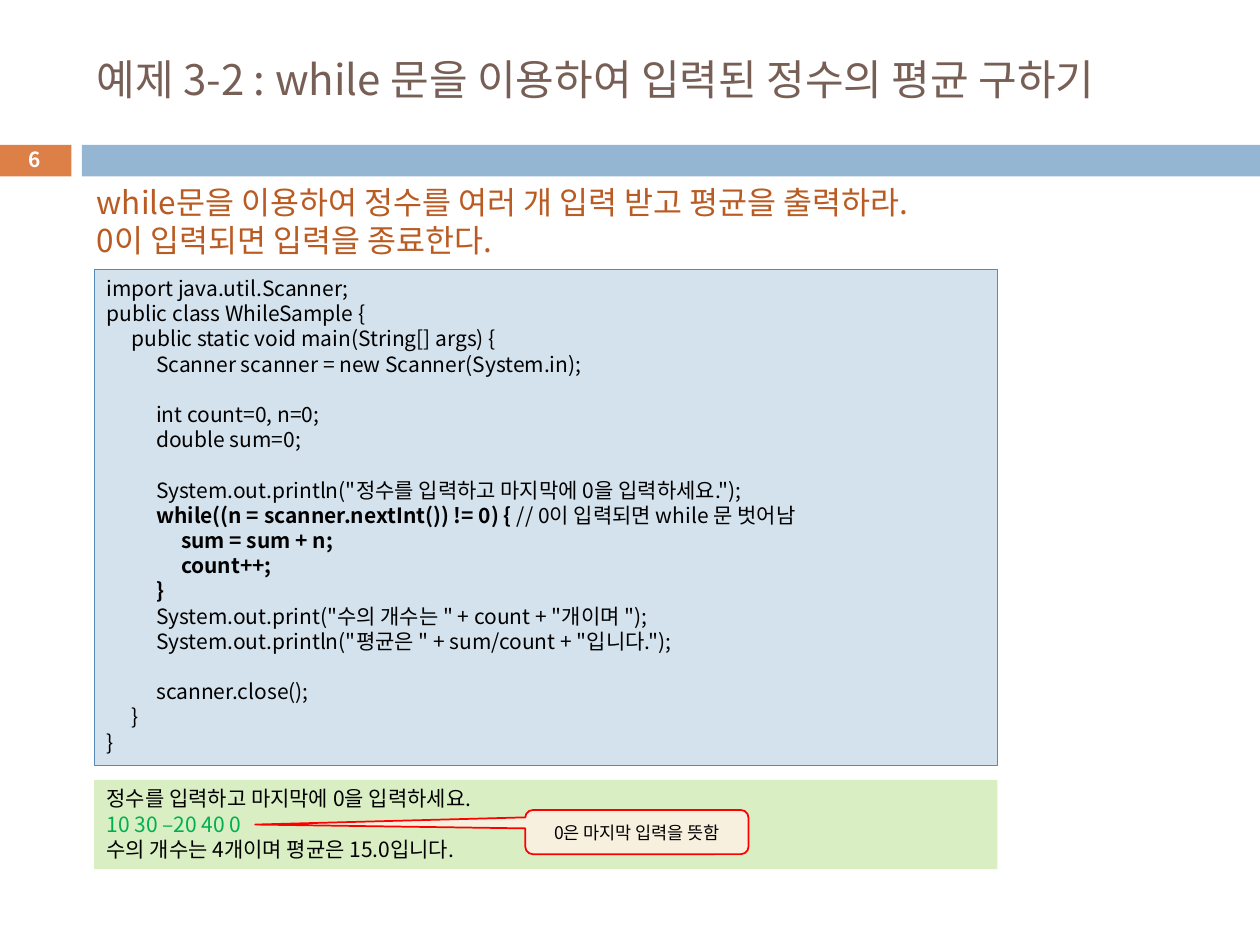
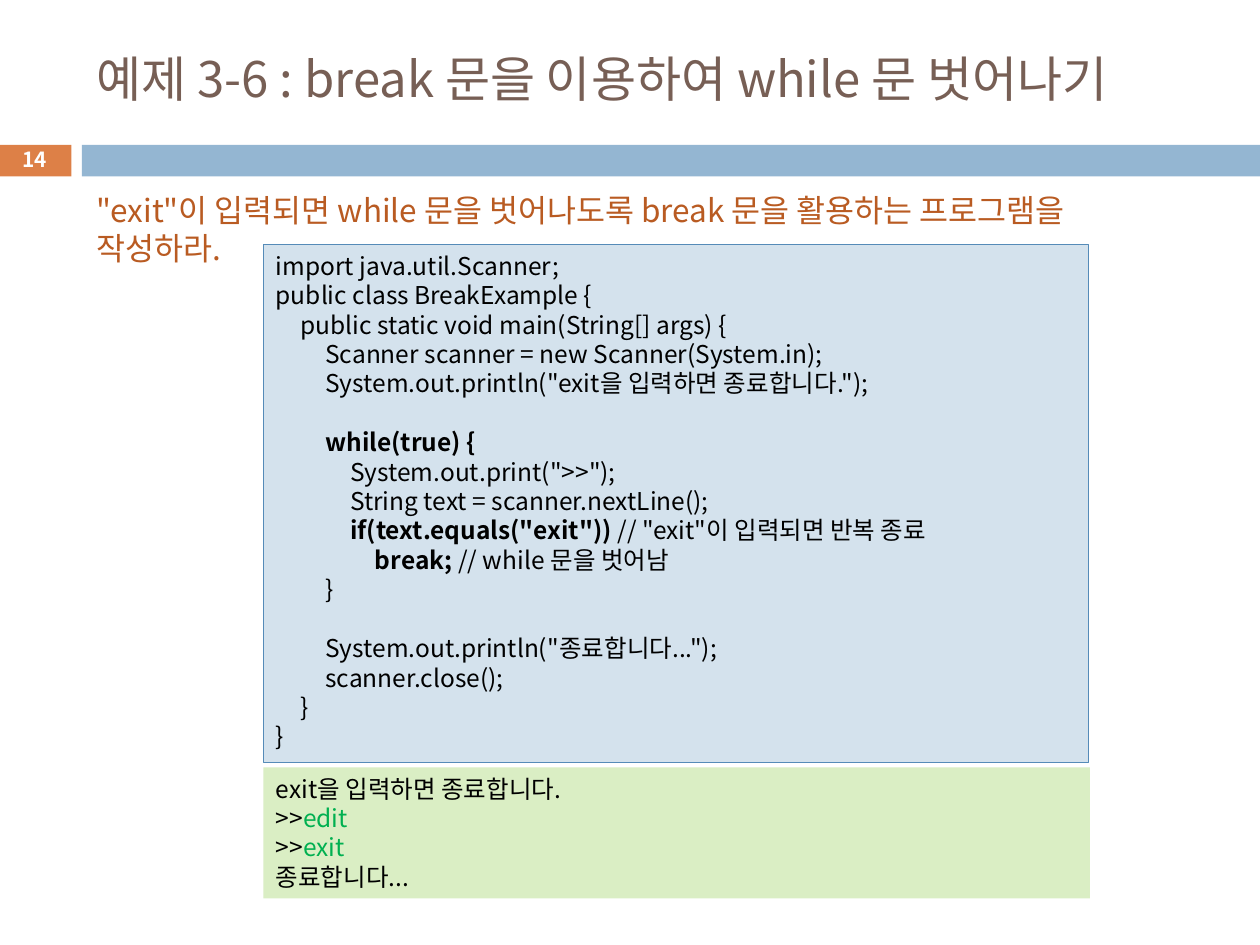
from dataclasses import dataclass

from lxml import etree
from pptx import Presentation
from pptx.dml.color import RGBColor
from pptx.enum.shapes import MSO_SHAPE
from pptx.enum.text import MSO_ANCHOR, PP_ALIGN
from pptx.oxml.ns import qn
from pptx.util import Cm, Pt

RECTANGLE = MSO_SHAPE.RECTANGLE
CALLOUT = MSO_SHAPE.ROUNDED_RECTANGULAR_CALLOUT
TOP, MIDDLE = MSO_ANCHOR.TOP, MSO_ANCHOR.MIDDLE
LEFT, CENTER = PP_ALIGN.LEFT, PP_ALIGN.CENTER

FONT = "Noto Sans CJK KR"
LINE_FACTOR = 1.2
INDENT = "    "
TAB_STEP = 0.5
TAB_COUNT = 4
MARK = "**"

COLORS = {
    "number_band": "DD8047",
    "wide_band": "94B6D2",
    "title": "775F55",
    "task": "B95B22",
    "code_fill": "D4E2ED",
    "code_line": "558BB8",
    "output_fill": "DAEEC4",
    "typed": "00B050",
    "note_fill": "F7F0DE",
    "note_line": "FF0000",
    "black": "000000",
    "white": "FFFFFF",
}


@dataclass(frozen=True)
class Frame:
    left: float
    top: float
    width: float
    height: float

    def lengths(self) -> tuple[Cm, Cm, Cm, Cm]:
        return Cm(self.left), Cm(self.top), Cm(self.width), Cm(self.height)


@dataclass(frozen=True)
class TextStyle:
    size: float
    color: str = "black"
    bold: bool = False
    align: PP_ALIGN = LEFT
    anchor: MSO_ANCHOR = TOP
    marked_color: str = ""
    marked_bold: bool = False


@dataclass(frozen=True)
class Note:
    frame: Frame
    text: str
    adjustments: tuple[float, float, float]


@dataclass(frozen=True)
class Example:
    number: int
    title: str
    title_size: float
    title_width: float
    task: str
    task_top: float
    code: str
    code_frame: Frame
    output: str
    output_frame: Frame
    body_size: float
    note: Note | None = None


NUMBER_BAND = Frame(-0.03, 2.92, 1.47, 0.64)
WIDE_BAND = Frame(1.65, 2.92, 23.75, 0.64)
NUMBER_FRAME = Frame(-0.03, 2.87, 1.47, 0.69)
NUMBER_STYLE = TextStyle(11.9, "white", True, CENTER, MIDDLE)
TASK_STYLE = TextStyle(18, "task")
NOTE_STYLE = TextStyle(10, align=CENTER, anchor=MIDDLE)

AVERAGE_CODE = """import java.util.Scanner;
public class WhileSample {
    public static void main(String[] args) {
        Scanner scanner = new Scanner(System.in);

        int count=0, n=0;
        double sum=0;

        System.out.println("정수를 입력하고 마지막에 0을 입력하세요.");
        **while((n = scanner.nextInt()) != 0) { **// 0이 입력되면 while 문 벗어남
            **sum = sum + n;**
            **count++;**
        **}**
        System.out.print("수의 개수는 " + count + "개이며 ");
        System.out.println("평균은 " + sum/count + "입니다.");

        scanner.close();
    }
}"""

AVERAGE_OUTPUT = """정수를 입력하고 마지막에 0을 입력하세요.
**10 30 –20 40 0**
수의 개수는 4개이며 평균은 15.0입니다."""

BREAK_CODE = """import java.util.Scanner;
public class BreakExample {
    public static void main(String[] args) {
        Scanner scanner = new Scanner(System.in);
        System.out.println("exit을 입력하면 종료합니다.");

        **while(true) {**
            System.out.print(">>");
            String text = scanner.nextLine();
            **if(text.equals("exit")) **// "exit"이 입력되면 반복 종료
                **break; **// while 문을 벗어남
        }

        System.out.println("종료합니다...");
        scanner.close();
    }
}"""

BREAK_OUTPUT = """exit을 입력하면 종료합니다.
>>**edit**
>>**exit**
종료합니다..."""

EXAMPLES = [
    Example(
        number=6,
        title="예제 3-2 : while 문을 이용하여 입력된 정수의 평균 구하기",
        title_size=24,
        title_width=23.19,
        task="""while문을 이용하여 정수를 여러 개 입력 받고 평균을 출력하라.
0이 입력되면 입력을 종료한다.""",
        task_top=3.56,
        code=AVERAGE_CODE,
        code_frame=Frame(1.9, 5.43, 18.21, 10.01),
        output=AVERAGE_OUTPUT,
        output_frame=Frame(1.9, 15.72, 18.21, 1.8),
        body_size=12,
        note=Note(Frame(10.59, 16.33, 4.5, 0.89), "0은 마지막 입력을 뜻함", (-1.71, -0.17, 0.17)),
    ),
    Example(
        number=14,
        title="예제 3-6 : break 문을 이용하여 while 문 벗어나기",
        title_size=28,
        title_width=22.66,
        task='"exit"이 입력되면 while 문을 벗어나도록 break 문을 활용하는 프로그램을 작성하라.',
        task_top=3.73,
        code=BREAK_CODE,
        code_frame=Frame(5.31, 4.93, 16.64, 10.44),
        output=BREAK_OUTPUT,
        output_frame=Frame(5.31, 15.47, 16.66, 2.64),
        body_size=14,
    ),
]


def rgb(name: str) -> RGBColor:
    return RGBColor.from_string(COLORS[name])


def add_tab_stops(paragraph) -> None:
    tab_list = etree.SubElement(paragraph._p.get_or_add_pPr(), qn("a:tabLst"))
    for stop in range(1, TAB_COUNT + 1):
        etree.SubElement(tab_list, qn("a:tab"), pos=str(Cm(TAB_STEP * stop)), algn="l")


def add_span(paragraph, text: str, style: TextStyle, marked: bool) -> None:
    span = paragraph.add_run()
    span.text = text
    color = style.marked_color if marked and style.marked_color else style.color
    span.font.size = Pt(style.size)
    span.font.bold = style.bold or (marked and style.marked_bold)
    span.font.color.rgb = rgb(color)
    span.font.name = FONT
    etree.SubElement(span._r.get_or_add_rPr(), qn("a:ea"), typeface=FONT)


def write_text(box, text: str, style: TextStyle) -> None:
    frame = box.text_frame
    frame.word_wrap = True
    frame.vertical_anchor = style.anchor
    for index, line in enumerate(text.splitlines()):
        paragraph = frame.add_paragraph() if index else frame.paragraphs[0]
        paragraph.alignment = style.align
        paragraph.line_spacing = Pt(style.size * LINE_FACTOR)
        if INDENT in text:
            add_tab_stops(paragraph)
        for position, part in enumerate(line.replace(INDENT, chr(9)).split(MARK)):
            if part:
                add_span(paragraph, part, style, position % 2 == 1)


def add_text(page, frame: Frame, text: str, style: TextStyle) -> None:
    write_text(page.shapes.add_textbox(*frame.lengths()), text, style)


def add_panel(page, frame: Frame, fill: str, line: str = "", line_width: float = 0.75, kind: MSO_SHAPE = RECTANGLE):
    panel = page.shapes.add_shape(kind, *frame.lengths())
    panel.shadow.inherit = False
    panel.fill.solid()
    panel.fill.fore_color.rgb = rgb(fill)
    if line:
        panel.line.color.rgb = rgb(line)
        panel.line.width = Pt(line_width)
    else:
        panel.line.fill.background()
    return panel


def add_note(page, note: Note) -> None:
    callout = add_panel(page, note.frame, "note_fill", "note_line", 1, CALLOUT)
    for index, value in enumerate(note.adjustments):
        callout.adjustments[index] = value
    write_text(callout, note.text, NOTE_STYLE)


def add_example(deck, example: Example) -> None:
    page = deck.slides.add_slide(deck.slide_layouts[6])
    add_panel(page, NUMBER_BAND, "number_band")
    add_panel(page, WIDE_BAND, "wide_band")
    add_text(page, NUMBER_FRAME, str(example.number), NUMBER_STYLE)
    title_style = TextStyle(example.title_size, "title", anchor=MIDDLE)
    add_text(page, Frame(1.7, 0.64, example.title_width, 1.88), example.title, title_style)
    add_text(page, Frame(1.7, example.task_top, 21.72, 1.8), example.task, TASK_STYLE)

    code = add_panel(page, example.code_frame, "code_fill", "code_line")
    write_text(code, example.code, TextStyle(example.body_size, marked_bold=True))
    output = add_panel(page, example.output_frame, "output_fill")
    write_text(output, example.output, TextStyle(example.body_size, marked_color="typed"))
    if example.note:
        add_note(page, example.note)


def main() -> None:
    deck = Presentation()
    deck.slide_width, deck.slide_height = Cm(25.4), Cm(19.05)
    for example in EXAMPLES:
        add_example(deck, example)
    deck.save("out.pptx")


if __name__ == "__main__":
    main()
